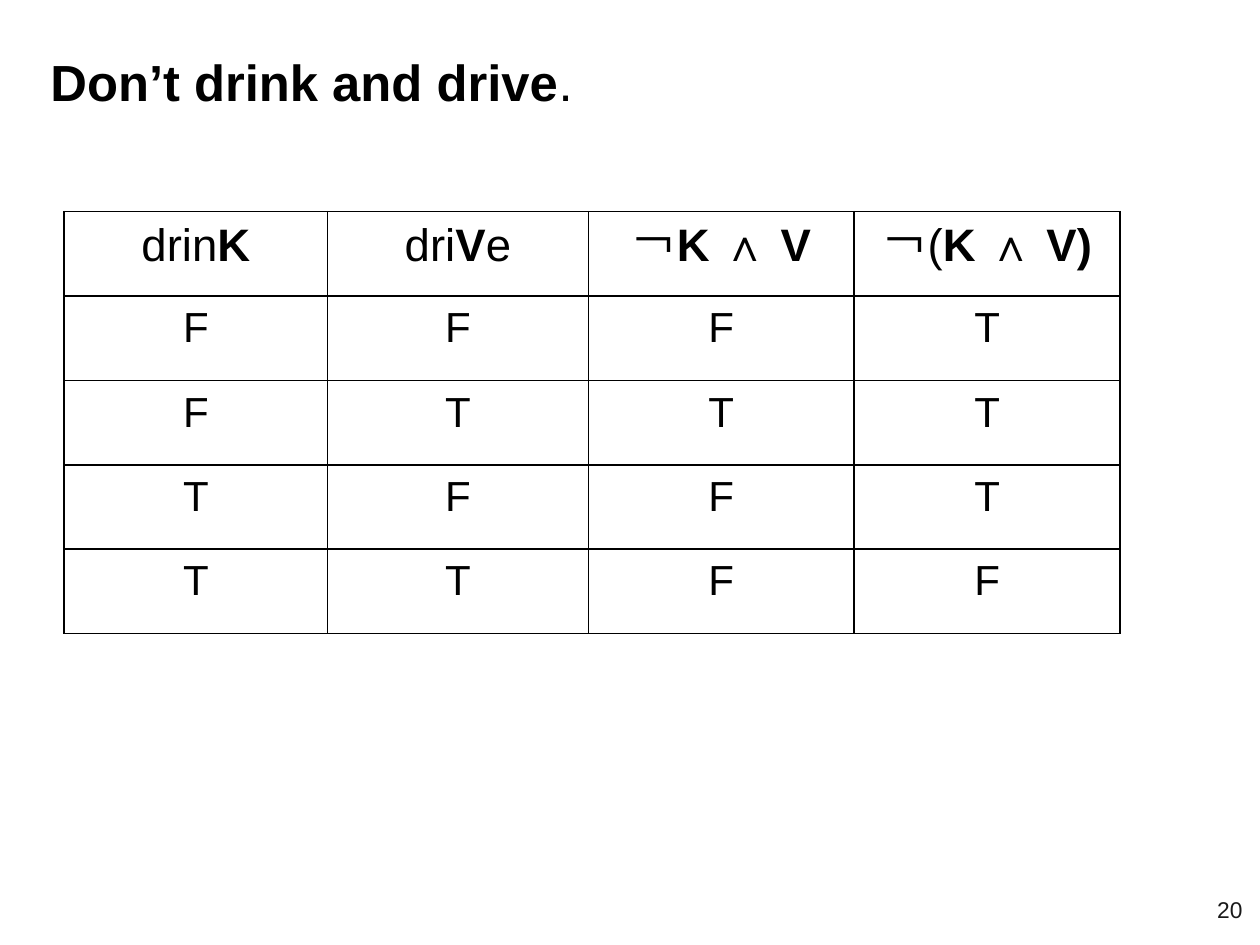
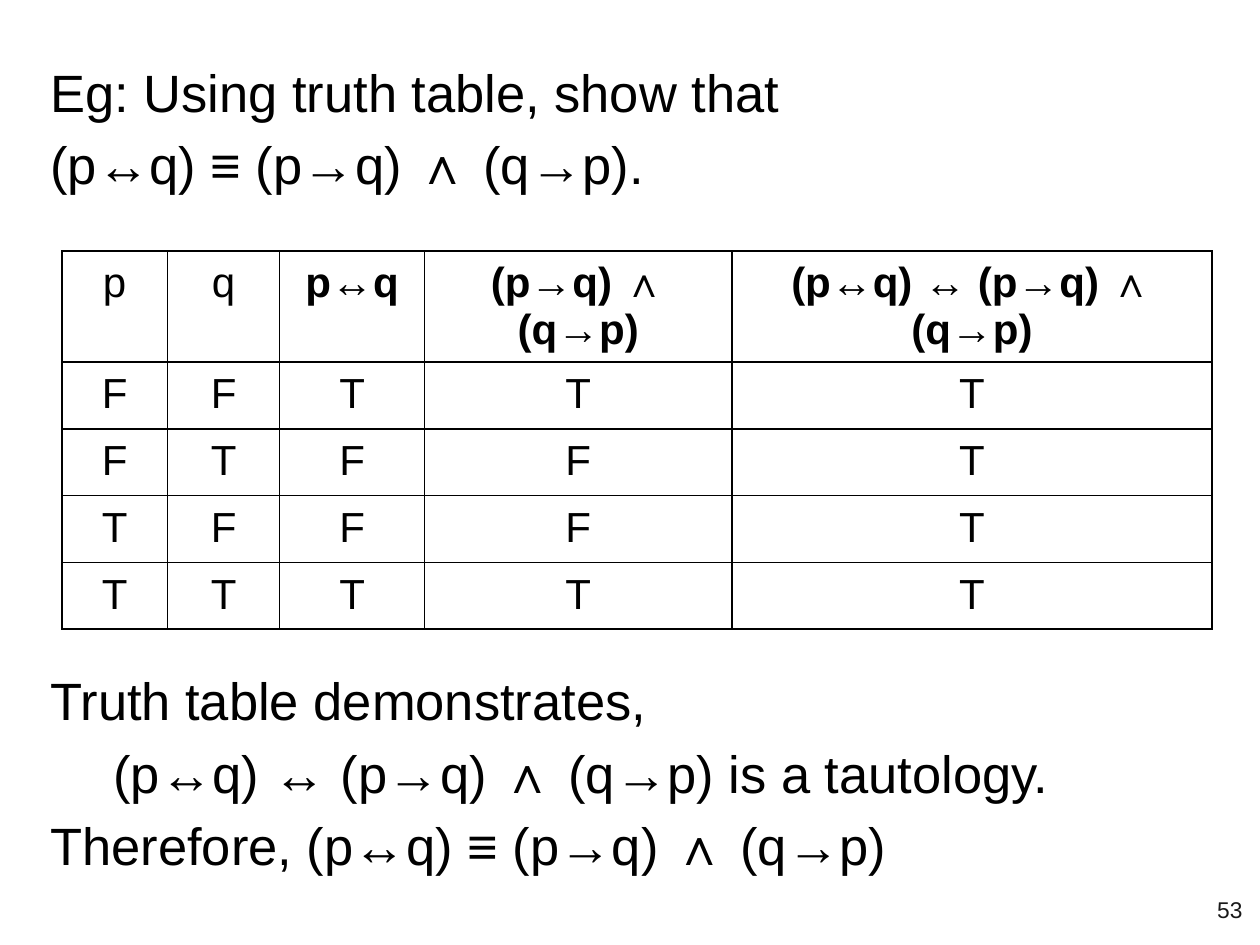
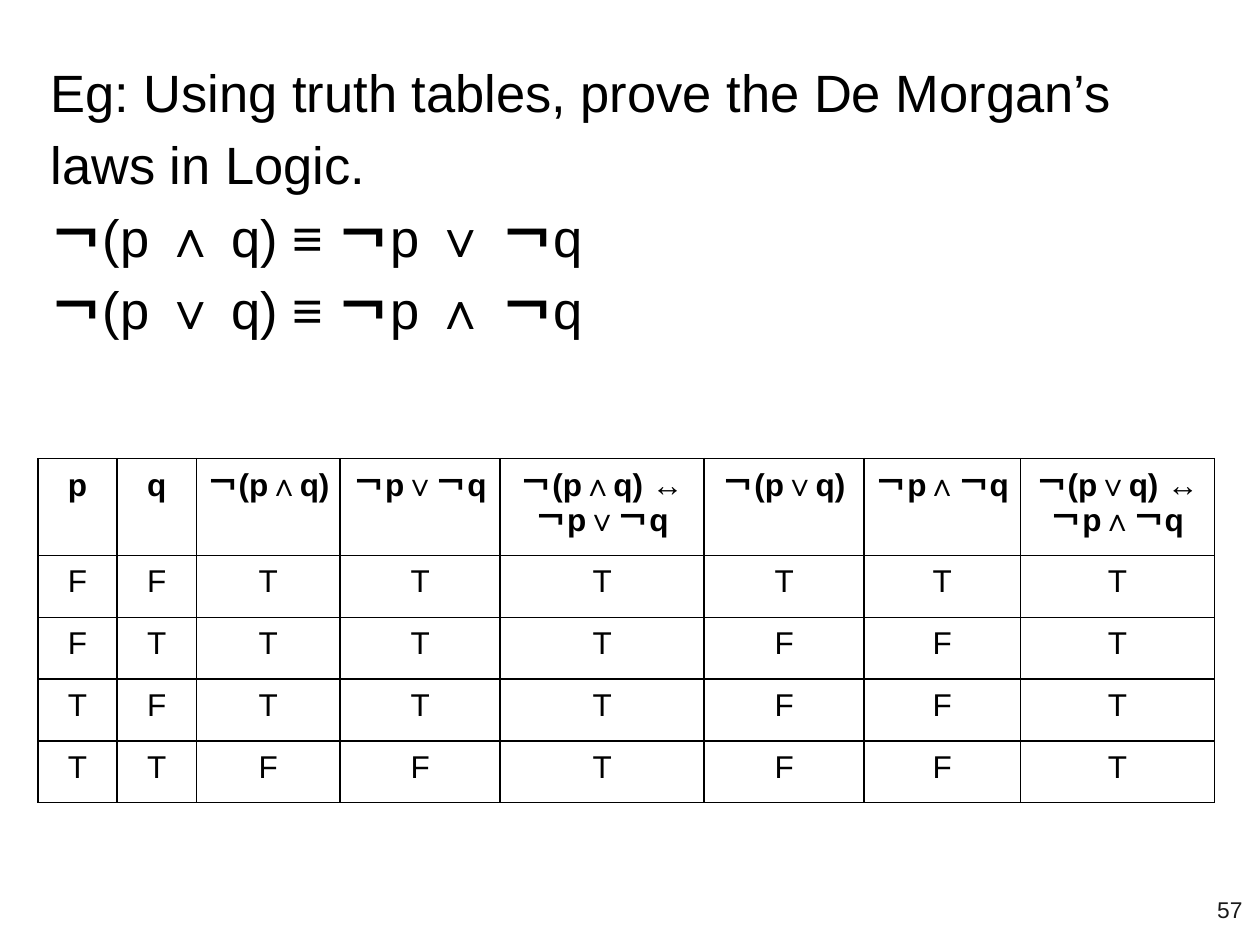
from lxml.etree import SubElement
from pptx import Presentation
from pptx.dml.color import RGBColor
from pptx.enum.text import MSO_ANCHOR as Anchor, MSO_AUTO_SIZE as AutoSize, PP_ALIGN as Align
from pptx.oxml.ns import qn
from pptx.util import Inches, Pt

COLORS = {"ink": "000000", "number": "191919"}
FONT = "Arial"
TITLE_ONLY, TITLE_AND_BODY = 5, 1


class Deck:
    def __init__(self):
        self.prs = Presentation()
        self.prs.slide_width = Inches(10)
        self.prs.slide_height = Inches(7.5)
        self.slide = None

    def new_slide(self, layout, number):
        self.slide = self.prs.slides.add_slide(self.prs.slide_layouts[layout])
        corner = self.slide.shapes.add_textbox(
            Inches(9.36), Inches(6.93), Inches(0.6), Inches(0.57))
        self.frame(corner.text_frame, Anchor.MIDDLE)
        self.put_text(corner.text_frame.paragraphs[0], number, 13, Align.RIGHT, "number")

    def frame(self, frame, anchor):
        frame.word_wrap = True
        frame.auto_size = AutoSize.NONE
        frame.vertical_anchor = anchor
        frame.margin_left = frame.margin_right = Inches(0.1)
        frame.margin_top = frame.margin_bottom = Inches(0.1)

    def put_text(self, paragraph, text, size, align=Align.LEFT, color="ink"):
        paragraph.alignment = align
        font = paragraph.font
        font.name = FONT
        font.size = Pt(size)
        font.color.rgb = RGBColor.from_string(COLORS[color])
        SubElement(font._element, qn("a:ea"), typeface=FONT)
        pieces = [(piece, i % 2 == 1) for i, piece in enumerate(text.split("*")) if piece]
        if all(bold for _, bold in pieces):
            font.bold = True
        for piece, bold in pieces:
            run = paragraph.add_run()
            run.text = piece
            if bold and not font.bold:
                run.font.bold = True

    def fill_placeholder(self, index, lines, top, height, size=30, spacing=1.15, indents=None):
        holder = self.slide.placeholders[index]
        holder.left, holder.top = Inches(0.3), Inches(top)
        holder.width, holder.height = Inches(9.4), Inches(height)
        frame = holder.text_frame
        self.frame(frame, Anchor.TOP)
        for i, line in enumerate(lines):
            paragraph = frame.paragraphs[0] if i == 0 else frame.add_paragraph()
            paragraph.line_spacing = spacing
            paragraph.space_before = Pt(0)
            properties = paragraph._p.get_or_add_pPr()
            properties.set("marL", "0")
            properties.set("indent", str(Inches((indents or {}).get(i, 0))))
            SubElement(properties, qn("a:buNone"))
            self.put_text(paragraph, line, size)

    def title(self, lines, height=1.35, **style):
        self.fill_placeholder(0, lines, 0.3, height, **style)

    def body(self, lines, top, height, **style):
        self.fill_placeholder(1, lines, top, height, **style)

    def truth_table(self, left, top, widths, heights, headings, values, size, heading_size=None):
        rows = [headings] + [list(row) for row in values]
        table = self.slide.shapes.add_table(
            len(rows), len(widths), Inches(left), Inches(top),
            Inches(sum(widths)), Inches(sum(heights))).table
        table.first_row = table.horz_banding = False
        for column, width in zip(table.columns, widths):
            column.width = Inches(width)
        for r, (row, height) in enumerate(zip(rows, heights)):
            table.rows[r].height = Inches(height)
            for c, text in enumerate(row):
                cell = table.cell(r, c)
                cell.margin_left = cell.margin_right = Inches(0.07)
                cell.margin_top = cell.margin_bottom = Inches(0.07)
                self.borders(cell)
                cell.fill.background()
                text_size = heading_size if r == 0 and heading_size else size
                self.put_text(cell.text_frame.paragraphs[0], text, text_size, Align.CENTER)

    def borders(self, cell):
        properties = cell._tc.get_or_add_tcPr()
        for side in ("lnL", "lnR", "lnT", "lnB"):
            line = SubElement(properties, qn(f"a:{side}"), w=str(Pt(1)))
            fill = SubElement(line, qn("a:solidFill"))
            SubElement(fill, qn("a:srgbClr"), val=COLORS["ink"])


def main():
    deck = Deck()

    deck.new_slide(TITLE_ONLY, "20")
    deck.title(["*Don’t drink and drive*."], height=1.03, size=29, spacing=1.0)
    deck.truth_table(
        0.51, 1.68, [2.09, 2.07, 2.11, 2.11], [0.67] * 5,
        ["drin*K*", "dri*V*e", "￢*K ∧ V*", "￢(*K ∧ V)*"],
        ["FFFT", "FTTT", "TFFT", "TTFF"], size=24, heading_size=26)

    both_ways = "(p*→*q) *∧* (q*→*p)"
    deck.new_slide(TITLE_AND_BODY, "53")
    deck.title(["Eg: Using truth table, show that", f"(p*↔*q) ≡ {both_ways}."])
    deck.body(
        ["Truth table demonstrates,",
         f"(p*↔*q) *↔* {both_ways} is a tautology.",
         f"Therefore, (p*↔*q) ≡ {both_ways}"],
        top=5.13, height=2.16, indents={1: 0.5})
    deck.truth_table(
        0.49, 1.99, [0.84, 0.89, 1.15, 2.44, 3.81], [0.53] * 5,
        ["p", "q", "*p↔q*", "*(p→q) ∧ (q→p)*", "*(p↔q) ↔ (p→q) ∧ (q→p)*"],
        ["FFTTT", "FTFFT", "TFFFT", "TTTTT"], size=24)

    deck.new_slide(TITLE_AND_BODY, "57")
    deck.title(["Eg: Using truth tables, prove the De Morgan’s laws in Logic."])
    deck.body(
        [f"*￢*(p *{inner} *q) ≡ *￢*p *{outer} ￢*q" for inner, outer in ("∧∨", "∨∧")],
        top=1.45, height=1.72)
    law_headings = []
    for inner, outer in ("∧∨", "∨∧"):
        negated, expanded = f"￢(p{inner}q)", f"￢p{outer}￢q"
        law_headings += [f"*{negated}*", f"*{expanded}*", f"*{negated} ↔ {expanded}*"]
    deck.truth_table(
        0.3, 3.64, [0.63, 0.63, 1.14, 1.27, 1.62, 1.27, 1.24, 1.54], [0.77] + [0.49] * 4,
        ["*p*", "*q*"] + law_headings,
        ["FFTTTTTT", "FTTTTFFT", "TFTTTFFT", "TTFFTFFT"], size=18)

    deck.prs.save("out.pptx")


if __name__ == "__main__":
    main()
